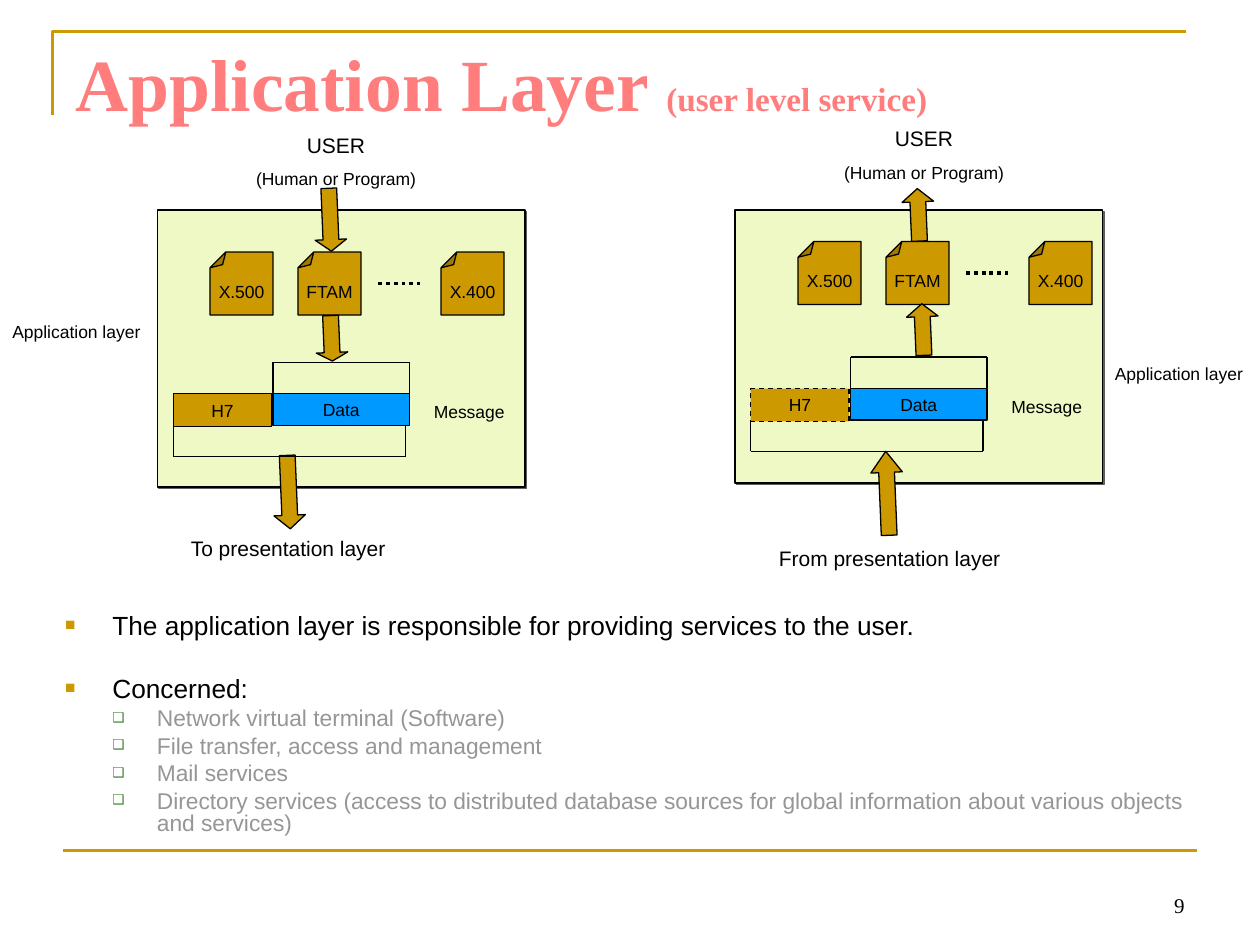
from pptx import Presentation
from pptx.dml.color import RGBColor
from pptx.enum.dml import MSO_LINE as Dash
from pptx.enum.shapes import MSO_CONNECTOR as Conn, MSO_SHAPE as Kind
from pptx.enum.text import MSO_ANCHOR as Anchor, MSO_AUTO_SIZE as Auto, PP_ALIGN as Align
from pptx.oxml import parse_xml
from pptx.oxml.ns import nsdecls
from pptx.util import Pt

GOLD = RGBColor(0xCC, 0x99, 0x00)
LIME = RGBColor(0xEE, 0xF9, 0xC5)
BLUE = RGBColor(0x00, 0x99, 0xFF)
PINK = RGBColor(0xFF, 0x7D, 0x7D)
GREY = RGBColor(0x96, 0x96, 0x96)
BLACK = RGBColor(0, 0, 0)
SERIF = "Times New Roman"


def write(par, text, size, color=BLACK, align=Align.LEFT, **extra):
    """Add a run to a paragraph, with its font and alignment."""
    par.alignment = align
    run = par.add_run()
    run.text = text
    look = {"name": "Arial", "size": Pt(size), "bold": False, **extra}
    for key, val in look.items():
        setattr(run.font, key, val)
    run.font.color.rgb = color


def draw(kind, box, fill, text="", edge=True, turn=0):
    """Add a filled preset shape with an optional 10 pt label."""
    shape = slide.shapes.add_shape(kind, *map(Pt, box))
    shape.shadow.inherit = False
    shape.rotation = turn
    shape.fill.solid()
    shape.fill.fore_color.rgb = fill
    if edge:
        shape.line.color.rgb = BLACK
        shape.line.width = Pt(0.75)
    else:
        shape.line.fill.background()
    if text:
        frame = shape.text_frame
        frame.word_wrap = False
        frame.vertical_anchor = Anchor.MIDDLE
        write(frame.paragraphs[0], text, 10, align=Align.CENTER)
    return shape


prs = Presentation()
prs.slide_width, prs.slide_height = Pt(720), Pt(540)
slide = prs.slides.add_slide(prs.slide_layouts[1])

# Title and list
title, body = slide.placeholders
for holder, box, anchor in ((title, (36, 21.6, 648, 50.4), Anchor.MIDDLE),
                            (body, (30, 348, 654, 137.5), Anchor.TOP)):
    holder.left, holder.top, holder.width, holder.height = map(Pt, box)
    frame = holder.text_frame
    frame.auto_size = Auto.NONE
    frame.word_wrap = True
    frame.vertical_anchor = anchor

head = title.text_frame.paragraphs[0]
write(head, "Application Layer ", 42, PINK, name=SERIF, bold=True)
write(head, "(user level service)", 19, PINK, name=SERIF, bold=True)

# Per level: left margin, indent, text size, colour, bullet, its colour and size
levels = [(27, -27, 15, BLACK, "■", GOLD, 65),
          (52.5, -25.5, 13, GREY, "❑", RGBColor(0x3B, 0x81, 0x2F), 60)]
points = [
    (0, 0, "The application layer is responsible for providing services to the user."),
    (0, 21.5, "Concerned:"),
    (1, 3.3, "Network virtual terminal (Software)"),
    (1, 3.3, "File transfer, access and management"),
    (1, 3.3, "Mail services"),
    (1, 3.3, "Directory services (access to distributed database sources for "
             "global information about various objects and services)"),
]
frame = body.text_frame
for i, (level, gap, text) in enumerate(points):
    par = frame.add_paragraph() if i else frame.paragraphs[0]
    margin, indent, size, color, mark, tint, scale = levels[level]
    par.level = level
    par.line_spacing = 0.8
    par.space_before = Pt(gap)
    props = par._p.get_or_add_pPr()
    props.set("marL", str(Pt(margin)))
    props.set("indent", str(Pt(indent)))
    for tag in (f'<a:buClr {nsdecls("a")}><a:srgbClr val="{tint}"/></a:buClr>',
                f'<a:buSzPct {nsdecls("a")} val="{scale * 1000}"/>',
                f'<a:buFont {nsdecls("a")} typeface="Arial"/>',
                f'<a:buChar {nsdecls("a")} char="{mark}"/>'):
        props.append(parse_xml(tag))
    write(par, text, size, color)

# Corner rule
pen = slide.shapes.build_freeform(Pt(30), Pt(66), scale=1.0)
pen.add_line_segments([(Pt(30), Pt(18)), (Pt(678), Pt(18))], close=False)
rule = pen.convert_to_shape()
rule.shadow.inherit = False
rule.fill.background()
rule.line.color.rgb = GOLD
rule.line.width = Pt(1.5)

# Sender and receiver: panel x and height, message shift, card shift, H7 edge
sides = [(90, 158.4, 0, 0, 0, 0, None),
         (420, 156, 330, -3, 336, -6, Dash.DASH)]
lines = [(36, 486, 684, 486, GOLD, 1.5, None)]
for left, high, mx, my, cx, cy, dash in sides:
    panel = draw(Kind.RECTANGLE, (left, 120, 210, high), LIME)
    panel.element.spPr.find("{*}effectLst").append(parse_xml(
        f'<a:outerShdw {nsdecls("a")} dist="{Pt(1.4)}" dir="2700000">'
        '<a:srgbClr val="5F5F5F"/></a:outerShdw>'))

    draw(Kind.RECTANGLE, (156 + mx, 225 + my, 78, 18), BLUE, "Data")
    header = draw(Kind.RECTANGLE, (99 + mx, 225 + my, 56.25, 18.75), GOLD, "H7")
    header.line.dash_style = dash
    draw(Kind.RECTANGLE, (240 + mx, 226 + my, 56.25, 18.75), LIME, "Message", edge=False)

    for x, end, flat, tip in ((99, 231.75, 261, 243), (156, 234, 207, 225)):
        for seg in ((x, flat, end, flat), (x, flat, x, tip), (end, flat, end, tip)):
            x1, y1, x2, y2 = seg
            lines.append((x1 + mx, y1 + my, x2 + mx, y2 + my, BLACK, 0.75, None))

    for x, name in ((120, "X.500"), (170.25, "FTAM"), (252, "X.400")):
        card = draw(Kind.FOLDED_CORNER, (x + cx, 144 + cy, 36, 36), GOLD, name, turn=180)
        card.element.spPr.find("{*}prstGeom/{*}avLst").append(parse_xml(
            f'<a:gd {nsdecls("a")} name="adj" fmla="val 25000"/>'))
        card.element.txBody.bodyPr.set("rot", "10800000")
    lines.append((216 + cx, 162 + cy, 240 + cx, 162 + cy, BLACK, 2.25, Dash.ROUND_DOT))

# Text boxes
notes = [
    (120, 72, 144, 40.3, Align.CENTER, [("USER", 12), ("(Human or Program)", 10)]),
    (456, 68.4, 144, 40.3, Align.CENTER, [("USER", 12), ("(Human or Program)", 10)]),
    (102, 302.4, 144, 21.6, Align.LEFT, [("To presentation layer", 12)]),
    (438, 308.4, 144, 21.6, Align.LEFT, [("From presentation layer", 12)]),
    (0, 180, 108, 19.5, Align.LEFT, [("Application layer", 10)]),
    (630, 204, 108, 19.5, Align.LEFT, [("Application layer", 10)]),
]
for *box, align, rows in notes:
    frame = slide.shapes.add_textbox(*map(Pt, box)).text_frame
    frame.word_wrap = True
    frame.auto_size = Auto.SHAPE_TO_FIT_TEXT
    for i, (text, size) in enumerate(rows):
        par = frame.add_paragraph() if i else frame.paragraphs[0]
        par.space_before = Pt(6.2 if i else 0)
        write(par, text, size, align=align)

frame = slide.shapes.add_textbox(Pt(516), Pt(492), Pt(168), Pt(36)).text_frame
frame.word_wrap = True
frame.vertical_anchor = Anchor.BOTTOM
write(frame.paragraphs[0], "9", 12, align=Align.RIGHT, name=SERIF)

# Flow arrows, down on the sender and up on the receiver
down, up = Kind.RIGHT_ARROW, Kind.LEFT_ARROW
for kind, x, y, length, tip in ((down, 170.6, 116.6, 36, 0.37),
                                (down, 176.4, 184.3, 26, 0.27),
                                (down, 144, 272.2, 42, 0.43),
                                (up, 509.8, 113.8, 30, 0.42),
                                (up, 512.6, 179.3, 29.5, 0.41),
                                (up, 483.1, 272.9, 48, 0.67)):
    arrow = draw(kind, (x, y, length, 18), GOLD, turn=87.6)
    arrow.adjustments[1] = tip

for *ends, color, width, dash in lines:
    line = slide.shapes.add_connector(Conn.STRAIGHT, *map(Pt, ends))
    line.line.color.rgb = color
    line.line.width = Pt(width)
    line.line.dash_style = dash
    line.element.spPr.append(parse_xml(f'<a:effectLst {nsdecls("a")}/>'))

prs.save("out.pptx")
